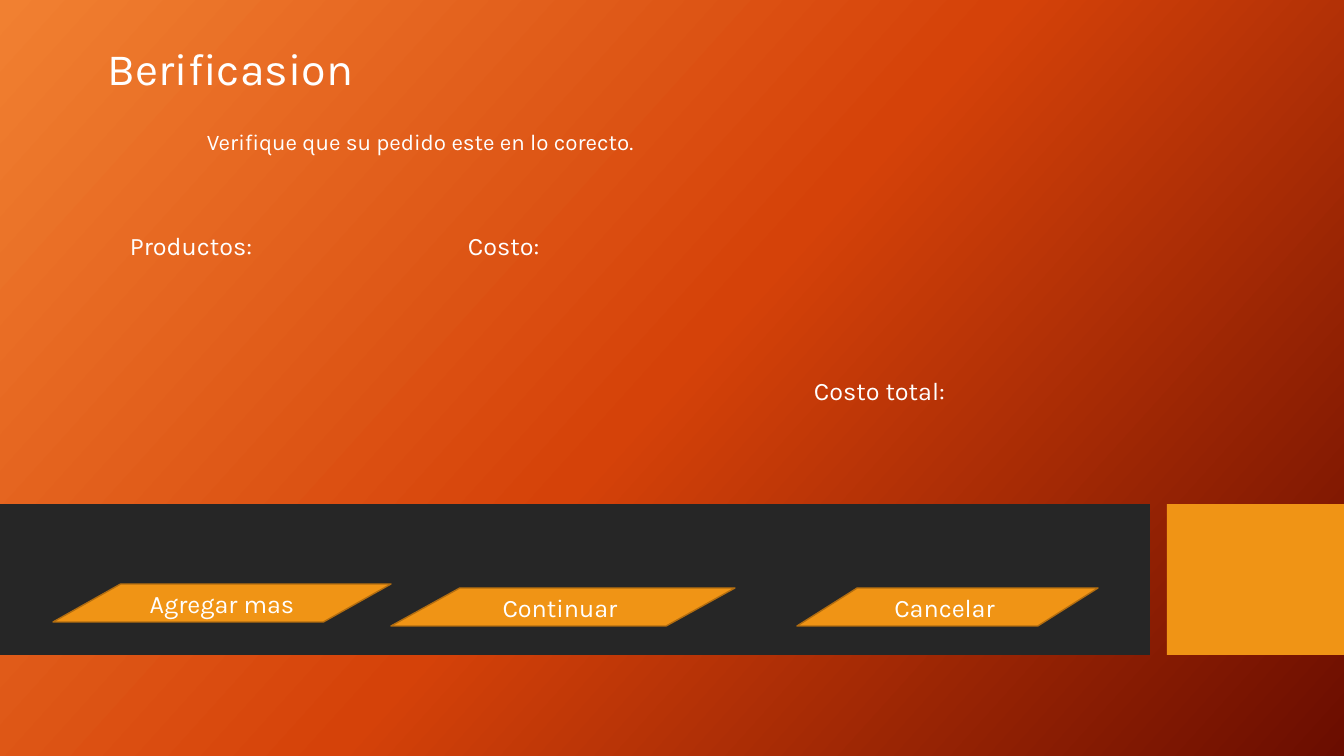
from copy import deepcopy
from dataclasses import dataclass

from pptx import Presentation
from pptx.dml.color import RGBColor
from pptx.enum.shapes import MSO_SHAPE
from pptx.enum.text import MSO_ANCHOR, MSO_AUTO_SIZE, PP_ALIGN
from pptx.oxml.ns import qn
from pptx.util import Pt

RECTANGLE = MSO_SHAPE.RECTANGLE
SLANTED = MSO_SHAPE.FLOWCHART_DATA
TOP, MIDDLE, BOTTOM = MSO_ANCHOR.TOP, MSO_ANCHOR.MIDDLE, MSO_ANCHOR.BOTTOM
GROW = MSO_AUTO_SIZE.SHAPE_TO_FIT_TEXT
CENTER = PP_ALIGN.CENTER
EMU_PER_PX = 914400 / 100.8
BLANK_LAYOUT = 6


@dataclass(frozen=True)
class Theme:
    font: str = "Karla"
    text: str = "FFFFFF"
    band: str = "262626"
    accent: str = "F09415"
    accent_edge: str = "B26D10"
    gradient: tuple = ((0, "F18031"), (0.5, "D54209"), (1, "6A0D00"))
    gradient_angle: int = 318
    title_size: int = 32
    body_size: int = 16
    label_size: int = 18


THEME = Theme()


def px(*lengths):
    """Turn pixel lengths into EMU."""
    return [round(length * EMU_PER_PX) for length in lengths]


def paint_background(page):
    fill = page.background.fill
    fill.gradient()
    fill.gradient_angle = THEME.gradient_angle
    stop_list = next(page.element.iter(qn("a:gsLst")))
    stop_list.append(deepcopy(stop_list[0]))
    for stop, (position, color) in zip(fill.gradient_stops, THEME.gradient):
        stop.position = position
        stop.color.rgb = RGBColor.from_string(color)


def write(para, text, size):
    para.text = text
    para.font.name = THEME.font
    para.font.size = Pt(size)
    para.font.color.rgb = RGBColor.from_string(THEME.text)


def add_text(page, bounds, text, size, anchor=TOP):
    box = page.shapes.add_textbox(*px(*bounds))
    frame = box.text_frame
    frame.word_wrap = True
    frame.vertical_anchor = anchor
    write(frame.paragraphs[0], text, size)
    return frame


def add_block(page, kind, bounds, color):
    block = page.shapes.add_shape(kind, *px(*bounds))
    block.shadow.inherit = False
    block.fill.solid()
    block.fill.fore_color.rgb = RGBColor.from_string(color)
    block.line.fill.background()
    return block


def add_button(page, bounds, text):
    button = add_block(page, SLANTED, bounds, THEME.accent)
    button.line.color.rgb = RGBColor.from_string(THEME.accent_edge)
    button.line.width = Pt(1)
    button.text_frame.vertical_anchor = MIDDLE
    para = button.text_frame.paragraphs[0]
    para.alignment = CENTER
    write(para, text, THEME.label_size)


def main():
    deck = Presentation()
    deck.slide_width, deck.slide_height = px(1344, 756)
    page = deck.slides.add_slide(deck.slide_layouts[BLANK_LAYOUT])
    paint_background(page)

    add_block(page, RECTANGLE, (0, 504, 1150, 151), THEME.band)
    add_block(page, RECTANGLE, (1167, 504, 177, 151), THEME.accent)

    title = add_text(page, (98, 35, 410, 65), "Berificasion",
                     THEME.title_size, BOTTOM)
    title.paragraphs[0].line_spacing = 0.9
    prompt = add_text(page, (197, 126, 1059, 55),
                      "Verifique que su pedido este en lo corecto.",
                      THEME.body_size)
    prompt.paragraphs[0].line_spacing = 0.9
    prompt.paragraphs[0].space_before = Pt(10)

    for left, top, width, text in (
        (53, 584, 338, "Agregar mas"),
        (391, 588, 344, "Continuar "),
        (797, 588, 301, "Cancelar "),
    ):
        add_button(page, (left, top, width, 38), text)

    for left, top, width, text in (
        (120, 225, 182, "Productos:"),
        (458, 225, 277, "Costo:"),
        (804, 370, 287, "Costo total:"),
    ):
        label = add_text(page, (left, top, width, 40), text, THEME.label_size)
        label.auto_size = GROW

    deck.save("out.pptx")


if __name__ == "__main__":
    main()
